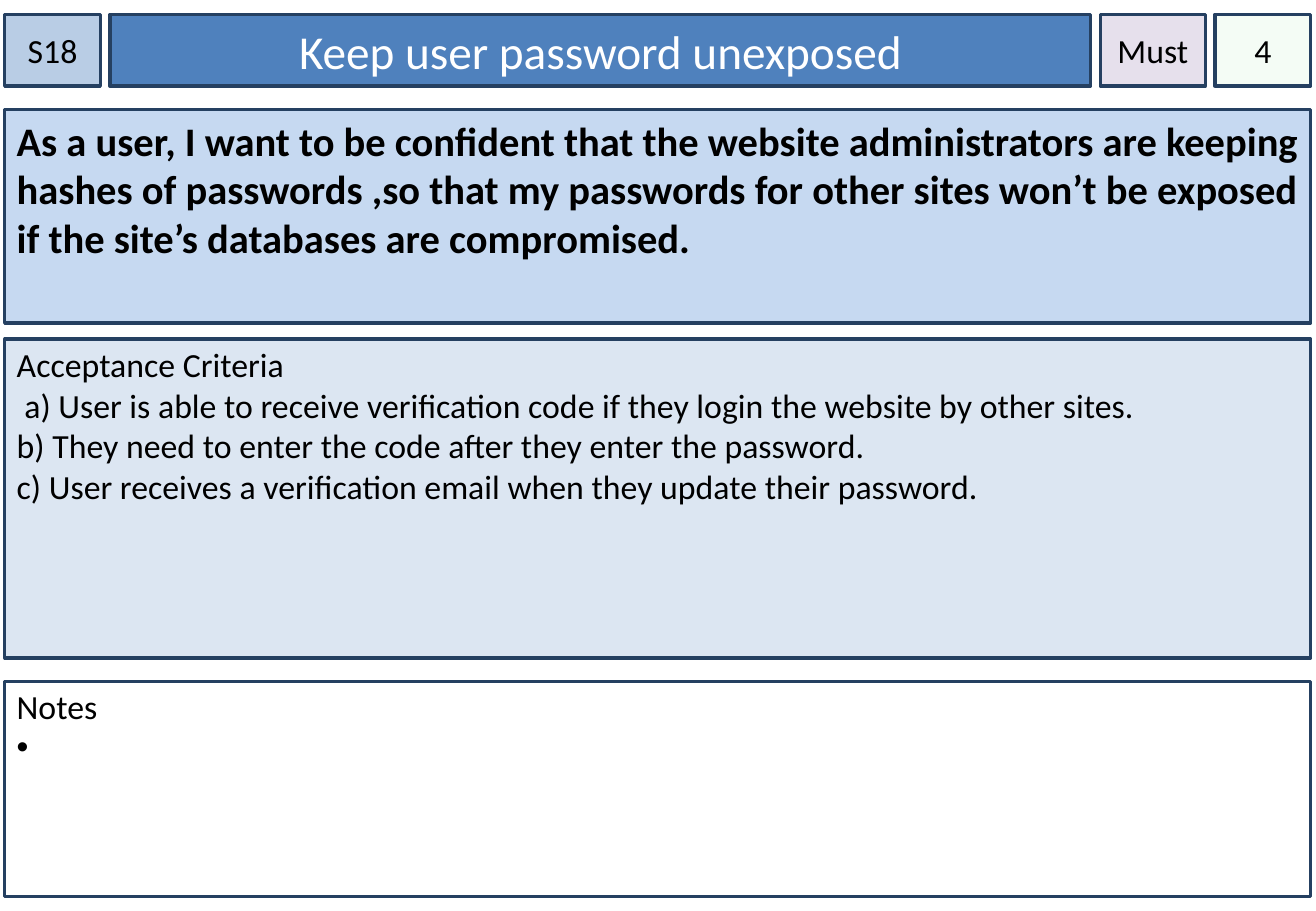
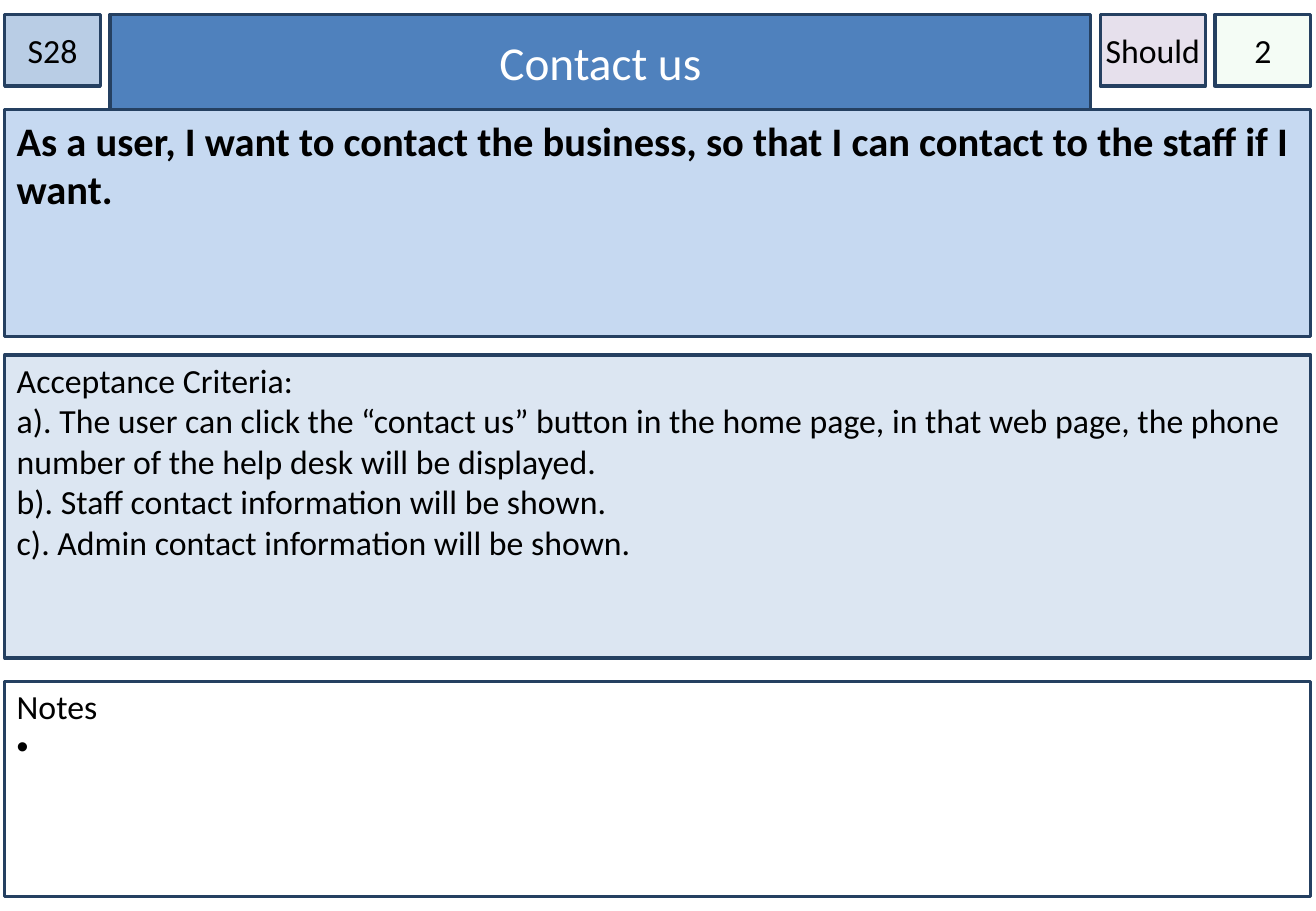
from pptx import Presentation
from pptx.dml.color import RGBColor as RGB
from pptx.enum.shapes import MSO_SHAPE as Shape
from pptx.enum.text import MSO_ANCHOR as Anchor, MSO_AUTO_SIZE as Auto, PP_ALIGN as Align
from pptx.oxml.ns import qn
from pptx.util import Cm, Pt
from lxml.etree import SubElement

HUES = {
    "edge": "254061", "code": "B9CDE5", "title": "4F81BD", "story": "C6D9F1",
    "terms": "DCE6F2", "rank": "E6E0EC", "size": "CCF0CD", "notes": "FFFFFF",
    "dark": "000000", "light": "FFFFFF",
}
LEFT, TOP, WIDE = 0.1, 0.3, 27.3
STORY_TOP, TERMS_END = 2.29, 13.76
NOTES_TOP, NOTES_H = 14.25, 4.5
LABEL_H = 1.5

CARDS = [
    {"code": "S18", "title": "Keep user password unexposed", "rank": "Must", "size": "4",
     "title_h": 1.5, "story_h": 4.47, "terms_top": 7.09,
     "story": "As a user, I want to be confident that the website administrators are keeping "
              "hashes of passwords ,so that my passwords for other sites won’t be exposed "
              "if the site’s databases are compromised.",
     "terms": ["Acceptance Criteria",
               " a) User is able to receive verification code if they login the website by other sites.",
               "b) They need to enter the code after they enter the password.",
               "c) User receives a verification email when they update their password."]},
    {"code": "S28", "title": "Contact us", "rank": "Should", "size": "2",
     "title_h": 1.99, "story_h": 4.75, "terms_top": 7.42,
     "story": "As a user, I want to contact the business, so that I can contact to the staff "
              "if I want.",
     "terms": ["Acceptance Criteria:",
               "a). The user can click the “contact us” button in the home page, in that web page, "
               "the phone number of the help desk will be displayed.",
               "b). Staff contact information will be shown.",
               "c). Admin contact information will be shown."]},
]


def write(shape, lines, size=20, bold=False, hue="dark", align=Align.LEFT,
          anchor=Anchor.TOP, inset=(0.25, 0.1), wrap=True, dots=False):
    """Fill a shape with paragraphs; dots puts a bullet on all but the first."""
    frame = shape.text_frame
    frame.auto_size = Auto.NONE
    frame.word_wrap = wrap
    frame.vertical_anchor = anchor
    frame.margin_left = frame.margin_right = Cm(inset[0])
    frame.margin_top, frame.margin_bottom = Cm(inset[1]), Cm(0.13)
    frame.text = "\n".join(lines)
    for i, para in enumerate(frame.paragraphs):
        para.alignment = align
        para.space_before = Pt(0)
        dot = dots and i > 0
        props = para._p.get_or_add_pPr()
        props.set("marL", str(Cm(0.5) if dot else 0))
        props.set("indent", str(-Cm(0.5) if dot else 0))
        if dot:
            SubElement(props, qn("a:buFont")).set("typeface", "Arial")
            SubElement(props, qn("a:buChar")).set("char", "•")
        else:
            SubElement(props, qn("a:buNone"))
        for run in para.runs:
            font = run.font
            font.name, font.size, font.bold = "Calibri", Pt(size), bold
            font.color.rgb = RGB.from_string(HUES[hue])


def panel(slide, hue, left, top, width, height, holder=None):
    """Place a framed box, or give a placeholder the same look."""
    spot = [Cm(v) for v in (left, top, width, height)]
    shape = holder or slide.shapes.add_shape(Shape.RECTANGLE, *spot)
    shape.left, shape.top, shape.width, shape.height = spot
    shape.shadow.inherit = False
    shape.fill.solid()
    shape.fill.fore_color.rgb = RGB.from_string(HUES[hue])
    shape.line.color.rgb = RGB.from_string(HUES["edge"])
    shape.line.width = Pt(2)
    return shape


deck = Presentation()
deck.slide_width, deck.slide_height = Cm(27.51), Cm(19.05)

for card in CARDS:
    slide = deck.slides.add_slide(deck.slide_layouts[1])
    title, body = slide.placeholders

    panel(slide, "title", 2.3, TOP, 20.5, card["title_h"], title)
    write(title, [card["title"]], size=28, hue="light", align=Align.CENTER,
          anchor=Anchor.MIDDLE, inset=(0.25, 0.13))

    top = card["terms_top"]
    panel(slide, "terms", LEFT, top, WIDE, TERMS_END - top, body)
    write(body, card["terms"])

    story = panel(slide, "story", LEFT, STORY_TOP, WIDE, card["story_h"])
    write(story, [card["story"]], size=24, bold=True, inset=(0.25, 0.13))

    for key, left, width in (("code", LEFT, 2), ("size", 25.4, 2), ("rank", 23, 2.2)):
        label = panel(slide, key, left, TOP, width, LABEL_H)
        write(label, [card[key]], align=Align.CENTER, anchor=Anchor.MIDDLE,
              inset=(0, 0.13), wrap=key != "rank")
        if key == "size":
            tint = label._element.spPr.find(qn("a:solidFill")).find(qn("a:srgbClr"))
            SubElement(tint, qn("a:alpha")).set("val", "20000")

    notes = panel(slide, "notes", LEFT, NOTES_TOP, WIDE, NOTES_H)
    write(notes, ["Notes", " "], dots=True)

deck.save("out.pptx")
